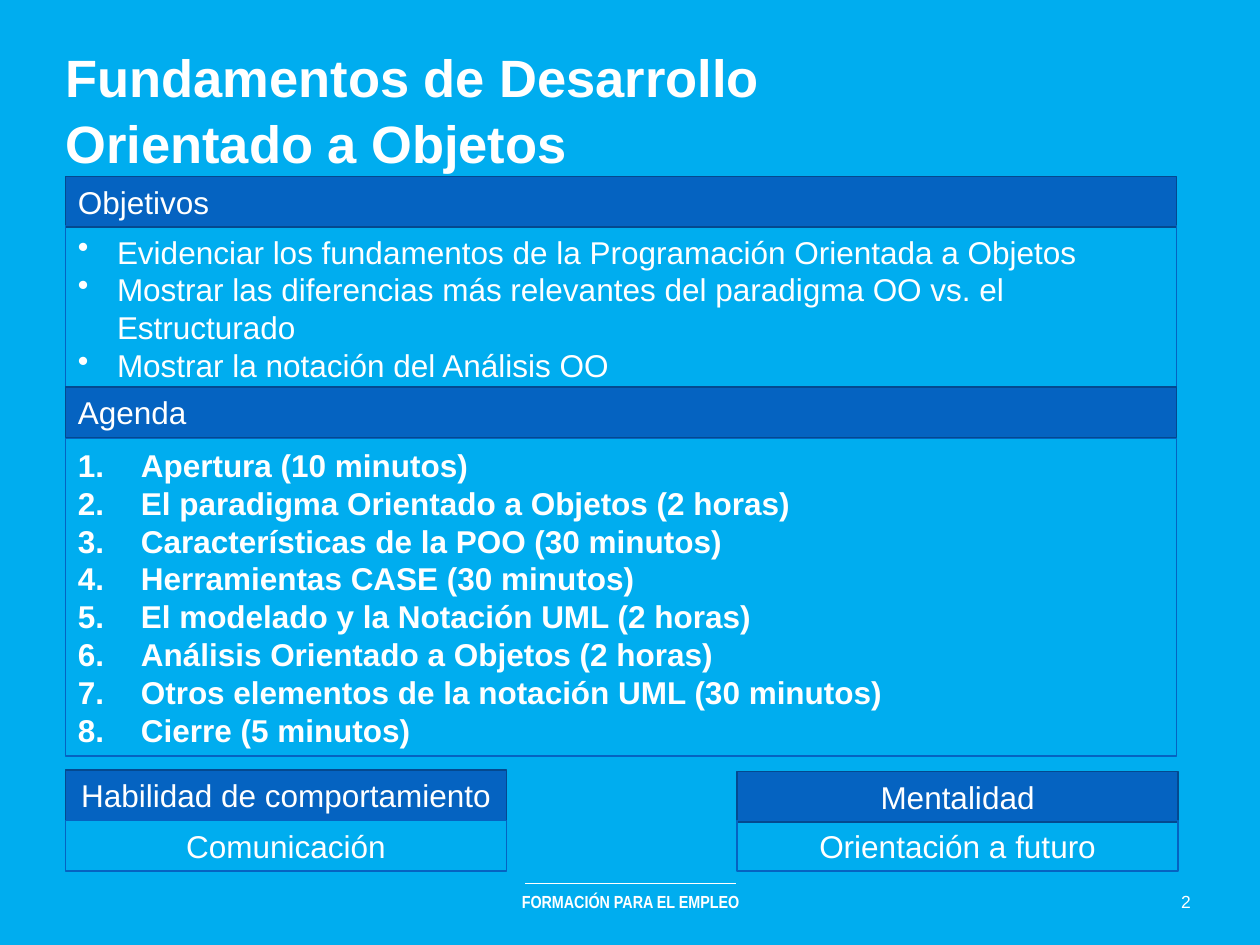
from lxml import etree
from pptx import Presentation
from pptx.dml.color import RGBColor
from pptx.enum.shapes import MSO_CONNECTOR, MSO_SHAPE
from pptx.enum.text import MSO_ANCHOR, PP_ALIGN
from pptx.oxml.ns import qn
from pptx.util import Cm, Pt

LEFT, CENTER = PP_ALIGN.LEFT, PP_ALIGN.CENTER
MIDDLE = MSO_ANCHOR.MIDDLE
RECTANGLE = MSO_SHAPE.RECTANGLE
STRAIGHT = MSO_CONNECTOR.STRAIGHT

BACKGROUND, WHITE = "00ADEF", "FFFFFF"
BLUE, DARK_BLUE = "0563C1", "04498F"
BULLET = ("buChar", {"char": "•"}, 0.79)
NUMBERED = ("buAutoNum", {"type": "arabicPeriod"}, 1.27)


def rgb(hex_value):
    return RGBColor.from_string(hex_value)


def write(frame, lines, size, bold=False, align=LEFT, font="Arial", marker=None):
    """Fill a text frame with one paragraph per line, with an optional list marker."""
    frame.word_wrap = True
    frame.vertical_anchor = MIDDLE
    font_format = {"name": font, "size": Pt(size), "bold": bold}
    for index, line in enumerate(lines):
        paragraph = frame.add_paragraph() if index else frame.paragraphs[0]
        paragraph.text = line
        paragraph.alignment = align
        if marker:
            tag, attributes, indent = marker
            properties = paragraph._p.get_or_add_pPr()
            properties.set("marL", str(Cm(indent)))
            properties.set("indent", str(-Cm(indent)))
            etree.SubElement(properties, qn("a:" + tag), attributes)
        for name, value in font_format.items():
            setattr(paragraph.font, name, value)
        paragraph.font.color.rgb = rgb(WHITE)


prs = Presentation()
prs.slide_width, prs.slide_height = Cm(25.4), Cm(19.05)
slide = prs.slides.add_slide(prs.slide_layouts[5])
slide.background.fill.solid()
slide.background.fill.fore_color.rgb = rgb(BACKGROUND)

# Footer and page number
footer = slide.shapes.add_textbox(Cm(9.32), Cm(17.83), Cm(6.78), Cm(0.69))
write(footer.text_frame, ["FORMACIÓN PARA EL EMPLEO"], 10, True, CENTER, "Arial Narrow")
page_number = slide.shapes.add_textbox(Cm(23.44), Cm(17.83), Cm(0.94), Cm(0.69))
write(page_number.text_frame, ["2"], 10, align=CENTER)
footer_rule = slide.shapes.add_connector(
    STRAIGHT, Cm(10.59), Cm(17.81), Cm(14.83), Cm(17.81))
footer_rule.line.color.rgb = rgb(WHITE)
footer_rule.line.width = Pt(0.5)
etree.SubElement(footer_rule._element.spPr, qn("a:effectLst"))

# Title
title = slide.shapes.title
title_format = {"left": Cm(1.32), "top": Cm(0.76), "width": Cm(17.98), "height": Cm(2.82)}
for name, value in title_format.items():
    setattr(title, name, value)
title.text_frame.margin_left = title.text_frame.margin_right = 0
write(title.text_frame, ["Fundamentos de Desarrollo Orientado a Objetos"], 30, True)
title.text_frame.paragraphs[0].line_spacing = 1.05

# Panels: a filled heading above an outlined body
objectives = [
    "Evidenciar los fundamentos de la Programación Orientada a Objetos",
    "Mostrar las diferencias más relevantes del paradigma OO vs. el Estructurado",
    "Mostrar la notación del Análisis OO",
]
agenda = [
    "Apertura (10 minutos)",
    "El paradigma Orientado a Objetos (2 horas)",
    "Características de la POO (30 minutos)",
    "Herramientas CASE (30 minutos)",
    "El modelado y la Notación UML (2 horas)",
    "Análisis Orientado a Objetos (2 horas)",
    "Otros elementos de la notación UML (30 minutos)",
    "Cierre (5 minutos)",
]
# heading, left, heading top, body top, width, body height, body lines, body format
panels = [
    ("Objetivos", 1.32, 3.56, 4.55, 22.4, 3.33, objectives, {"marker": BULLET}),
    ("Agenda", 1.32, 7.8, 8.84, 22.4, 6.4, agenda, {"marker": NUMBERED, "bold": True}),
    ("Habilidad de comportamiento", 1.32, 15.52, 16.54, 8.89, 1.02,
     ["Comunicación"], {"align": CENTER}),
    ("Mentalidad", 14.86, 15.55, 16.54, 8.89, 1.02,
     ["Orientación a futuro"], {"align": CENTER}),
]
for heading, left, heading_top, body_top, width, body_height, lines, body_format in panels:
    heading_format = {"align": body_format.get("align", LEFT)}
    for top, height, content, text_format, fill, outline, weight in (
        (heading_top, 1.02, [heading], heading_format, BLUE, DARK_BLUE, 0.85),
        (body_top, body_height, lines, body_format, None, BLUE, 0.75),
    ):
        box = slide.shapes.add_shape(RECTANGLE, Cm(left), Cm(top), Cm(width), Cm(height))
        box.shadow.inherit = False
        if fill:
            box.fill.solid()
            box.fill.fore_color.rgb = rgb(fill)
        else:
            box.fill.background()
        box.line.color.rgb = rgb(outline)
        box.line.width = Pt(weight)
        write(box.text_frame, content, 18, **text_format)

prs.save("out.pptx")
